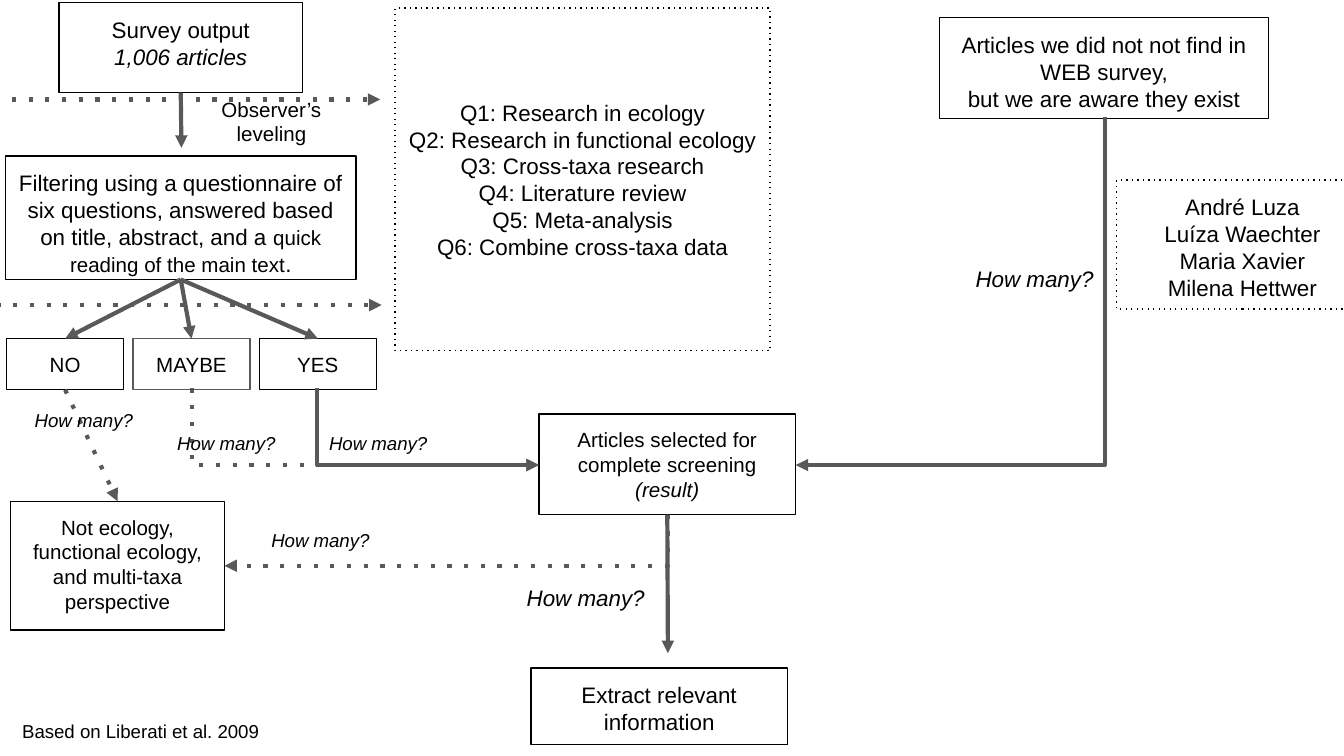
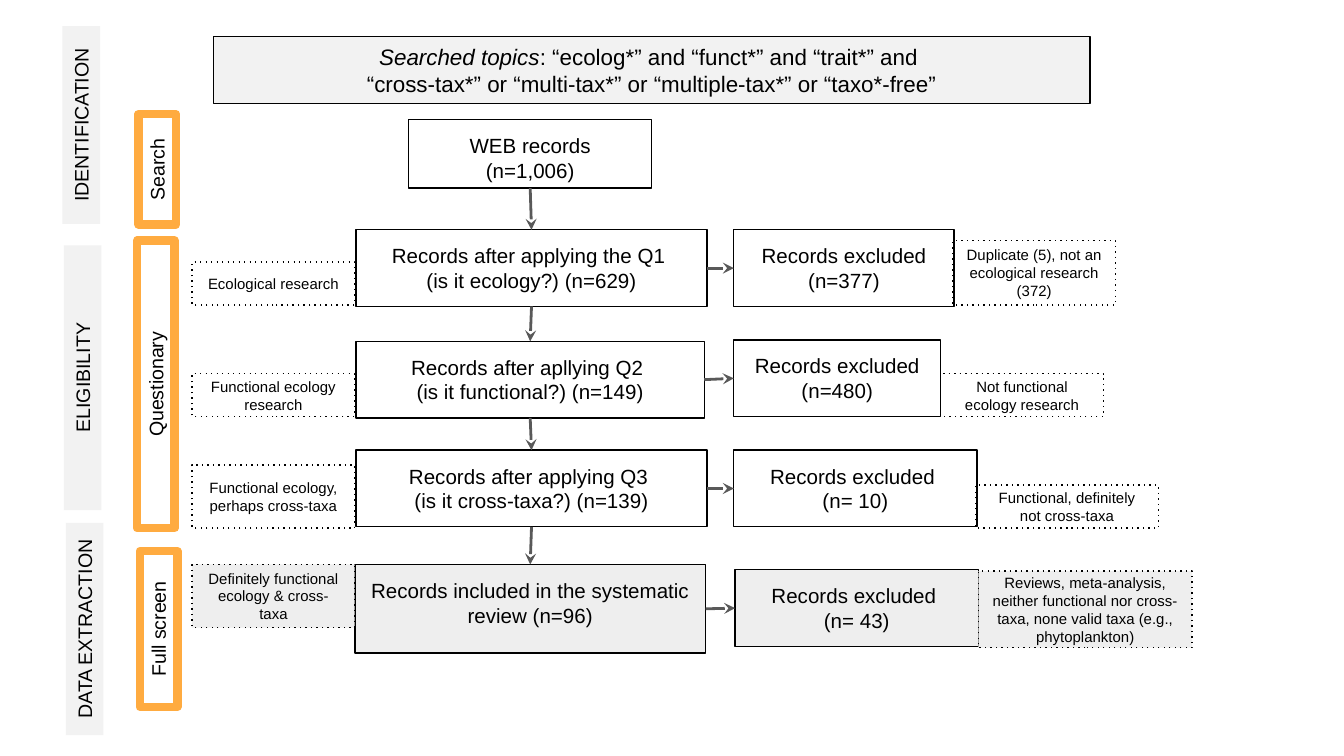
"""Build two flow charts: the article survey plan and the record screening."""
from dataclasses import dataclass, replace
from typing import NamedTuple, Optional, Union

import lxml.etree
import pptx
import pptx.dml.color
import pptx.enum.shapes
import pptx.enum.text
import pptx.oxml.ns
import pptx.util

Inches = pptx.util.Inches
Pt = pptx.util.Pt
qn = pptx.oxml.ns.qn
Anchor = pptx.enum.text.MSO_ANCHOR

FONT = "Arial"
COLORS = {
    "ink": "000000",
    "arrow": "595959",
    "white": "FFFFFF",
    "included": "EEEEEE",
    "band": "F2F2F2",
    "phase": "FFAB40",
}
TOP, LEFT, BOTTOM, RIGHT = range(4)


class Span(NamedTuple):
    text: str
    size: Optional[float] = None
    italic: Optional[bool] = None


Paragraph = Union[str, Span, list[Span]]


@dataclass(frozen=True)
class Style:
    size: float = 12
    line: Optional[str] = "ink"
    weight: float = 0.75
    dotted: bool = False
    fill: Optional[str] = None
    anchor: Anchor = Anchor.TOP
    inset: float = 0.1
    grow: bool = False
    rotation: float = 0


class Box(NamedTuple):
    name: str
    left: float
    top: float
    width: float
    height: float
    paragraphs: list[Paragraph]
    style: Style


class Label(NamedTuple):
    left: float
    top: float
    width: float
    paragraph: Paragraph
    size: float
    centered: bool = False


class Point(NamedTuple):
    x: float
    y: float


class Port(NamedTuple):
    box: str
    side: int


class Arrow(NamedTuple):
    begin: Union[Point, Port]
    end: Union[Point, Port]
    dotted: bool = False


STEP = Style()
SMALL_STEP = Style(size=11)
DOTTED = Style(dotted=True)
NOTE = Style(size=8, dotted=True, anchor=Anchor.MIDDLE)
GREY_STEP = replace(SMALL_STEP, fill="included")
GREY_NOTE = replace(NOTE, fill="included")
BANNER = Style(fill="band", inset=0.05, grow=True)
STAGE = Style(size=10.5, line=None, fill="band", inset=0.05, grow=True, rotation=270)
PHASE = replace(STAGE, line="phase", weight=4.5, fill=None)

ANSWERS = ["NO", "MAYBE", "YES"]
HOW_MANY = Span("How many?", italic=True)

PLAN_BOXES = [
    Box("survey", 0.44, 0.02, 1.81, 0.67,
        ["Survey output", Span("1,006 articles", italic=True)], STEP),
    Box("filter", 0.04, 1.16, 2.61, 0.92,
        [[Span("Filtering using a questionnaire of six questions, answered based "
               "on title, abstract, and a ", 12),
          Span("quick reading of the main text", 11), Span(".", 12)]], STEP),
    Box("missed", 6.99, 0.13, 2.45, 0.75,
        ["Articles we did not not find in WEB survey,",
         "but we are aware they exist"], STEP),
    Box("screening", 4.01, 3.08, 1.91, 0.75,
        ["Articles selected for complete screening",
         Span("(result)", italic=True)], SMALL_STEP),
    *[Box(answer, 0.05 + 0.94 * column, 2.52, 0.87, 0.38, [answer],
          replace(SMALL_STEP, line="arrow" if answer == "MAYBE" else "ink"))
      for column, answer in enumerate(ANSWERS)],
    Box("rejected", 0.08, 3.73, 1.59, 0.96,
        ["Not ecology, functional ecology, and multi-taxa perspective"], SMALL_STEP),
    Box("extract", 3.95, 4.97, 1.91, 0.57, ["Extract relevant information"], STEP),
    Box("questions", 2.94, 0.06, 2.79, 2.55,
        ["Q1: Research in ecology", "Q2: Research in functional ecology",
         "Q3: Cross-taxa research", "Q4: Literature review",
         "Q5: Meta-analysis", "Q6: Combine cross-taxa data"],
        replace(DOTTED, anchor=Anchor.MIDDLE)),
    Box("observers", 8.31, 1.34, 1.87, 0.96,
        ["André Luza", "Luíza Waechter", "Maria Xavier", "Milena Hettwer"], DOTTED),
]
PLAN_LABELS = [
    Label(1.34, 0.62, 1.36, "Observer’s leveling", 11, True),
    Label(-0.53, 5.27, 3.15, "Based on Liberati et al. 2009", 10, True),
    *[Label(left, top, 1.59, HOW_MANY, size) for left, top, size in [
        (0.16, 2.96, 10), (1.22, 3.13, 10), (2.35, 3.13, 10),
        (1.92, 3.85, 10), (7.16, 1.87, 12), (3.82, 4.25, 12)]],
]
PLAN_ARROWS = [
    Arrow(Port("survey", BOTTOM), Point(1.35, 1.1)),
    *[Arrow(Port("filter", BOTTOM), Port(answer, TOP)) for answer in ANSWERS],
    Arrow(Port("screening", BOTTOM), Point(4.97, 4.86)),
    Arrow(Port("NO", BOTTOM), Port("rejected", TOP), True),
    Arrow(Point(-0.4, 2.27), Point(2.84, 2.27), True),
    Arrow(Point(-0.41, 0.74), Point(2.83, 0.74), True),
]
PLAN_BENDS = [
    Arrow(Point(2.36, 2.89), Point(4.01, 3.46)),
    Arrow(Point(1.43, 2.89), Point(4.01, 3.46), True),
    Arrow(Point(4.97, 3.83), Point(1.67, 4.21), True),
    Arrow(Point(8.22, 0.87), Point(5.92, 3.46)),
]

SCREEN_BOXES = [
    Box("topics", 1.59, 0.27, 6.52, 0.5,
        [[Span("Searched topics", italic=True),
          Span(": “ecolog*” and “funct*” and “trait*” and ")],
         "“cross-tax*” or “multi-tax*” or “multiple-tax*” or “taxo*-free”"], BANNER),
    Box("records", 3.04, 0.89, 1.81, 0.51, ["WEB records", "(n=1,006)"], SMALL_STEP),
    Box("Q1", 2.65, 1.71, 2.61, 0.57,
        ["Records after applying the Q1 ", "(is it ecology?) (n=629)"], SMALL_STEP),
    Box("Q2", 2.65, 2.54, 2.59, 0.57,
        ["Records after apllying Q2 ", "(is it functional?) (n=149)"], SMALL_STEP),
    Box("Q3", 2.65, 3.35, 2.61, 0.57,
        ["Records after applying Q3 ", "(is it cross-taxa?) (n=139)"], SMALL_STEP),
    Box("included", 2.64, 4.2, 2.61, 0.66,
        ["Records included in the systematic review (n=96)"], GREY_STEP),
    Box("Q1 excluded", 5.46, 1.71, 1.64, 0.57, ["Records excluded (n=377)"],
        replace(SMALL_STEP, fill="white")),
    Box("Q2 excluded", 5.46, 2.53, 1.54, 0.57, ["Records excluded (n=480)"], SMALL_STEP),
    Box("Q3 excluded", 5.46, 3.35, 1.81, 0.57,
        ["Records excluded ", "(n= 10)"], SMALL_STEP),
    Box("included excluded", 5.47, 4.24, 1.81, 0.57,
        ["Records excluded ", "(n= 43)"], GREY_STEP),
    Box("Q1 kept", 1.43, 1.95, 1.21, 0.32, ["Ecological research"], NOTE),
    Box("Q2 kept", 1.43, 2.78, 1.21, 0.32, ["Functional ecology research"], NOTE),
    Box("Q3 kept", 1.43, 3.46, 1.21, 0.47,
        ["Functional ecology, perhaps cross-taxa"], NOTE),
    Box("included kept", 1.43, 4.2, 1.21, 0.47,
        ["Definitely functional ecology & cross-taxa"], GREY_NOTE),
    Box("Q1 reason", 7.09, 1.79, 1.21, 0.48,
        ["Duplicate (5), not an ecological research (372)"], NOTE),
    Box("Q2 reason", 7, 2.78, 1.21, 0.32, ["Not functional ecology research"], NOTE),
    Box("Q3 reason", 7.26, 3.61, 1.36, 0.32,
        ["Functional, definitely not cross-taxa"], NOTE),
    Box("included reason", 7.28, 4.25, 1.59, 0.57,
        ["Reviews, meta-analysis, neither functional nor cross-taxa, "
         "none valid taxa (e.g., phytoplankton)"], GREY_NOTE),
    *[Box(text, left, top, length, 0.28, [text], style)
      for text, left, top, length, style in [
          ("Questionary", 0.09, 2.72, 2.14, PHASE),
          ("Full screen", 0.6, 4.54, 1.16, PHASE),
          ("Search", 0.76, 1.12, 0.82, PHASE),
          ("ELIGIBILITY", -0.37, 2.67, 1.97, STAGE),
          ("DATA EXTRACTION", -0.16, 4.54, 1.58, STAGE),
          ("IDENTIFICATION", -0.13, 0.79, 1.47, STAGE)]],
]
FLOW = ["records", "Q1", "Q2", "Q3", "included"]
SCREEN_ARROWS = [
    *[Arrow(Port(above, BOTTOM), Port(below, TOP)) for above, below in zip(FLOW, FLOW[1:])],
    *[Arrow(Port(step, RIGHT), Port(f"{step} excluded", LEFT)) for step in FLOW[1:]],
]


def rgb(name: str) -> pptx.dml.color.RGBColor:
    return pptx.dml.color.RGBColor.from_string(COLORS[name])


def write_text(frame, paragraphs: list[Paragraph], size: float, centered: bool = True) -> None:
    frame.word_wrap = True
    for index, content in enumerate(paragraphs):
        para = frame.paragraphs[0] if index == 0 else frame.add_paragraph()
        para.alignment = getattr(pptx.enum.text.PP_ALIGN, "CENTER" if centered else "LEFT")
        para.font.name = FONT
        para.font.size = Pt(size)
        para.font.color.rgb = rgb("ink")
        if isinstance(content, str):
            content = Span(content)
        spans = [content] if isinstance(content, Span) else content
        if len(spans) == 1:
            para.font.italic = spans[0].italic
        for span in spans:
            run = para.add_run()
            run.text = span.text
            if len(spans) > 1:
                run.font.size = Pt(span.size) if span.size else None
                run.font.italic = span.italic


def style_line(shape, color: str, weight: float, dotted: bool, head: str = "") -> None:
    shape.line.color.rgb = rgb(color)
    shape.line.width = Pt(weight)
    outline = shape._element.spPr.find(qn("a:ln"))
    if dotted:
        lxml.etree.SubElement(outline, qn("a:prstDash"), val="dot")
    if head:
        lxml.etree.SubElement(outline, qn("a:tailEnd"), type=head)


def draw_box(page, box: Box):
    style = box.style
    shape = page.shapes.add_shape(
        pptx.enum.shapes.MSO_SHAPE.RECTANGLE,
        Inches(box.left), Inches(box.top), Inches(box.width), Inches(box.height))
    shape.rotation = style.rotation
    shape.shadow.inherit = False
    if style.fill:
        shape.fill.solid()
        shape.fill.fore_color.rgb = rgb(style.fill)
    else:
        shape.fill.background()
    if style.line:
        style_line(shape, style.line, style.weight, style.dotted)
    else:
        shape.line.fill.background()
    frame = shape.text_frame
    frame.vertical_anchor = style.anchor
    frame.margin_top = frame.margin_bottom = Inches(style.inset)
    if style.grow:
        frame.auto_size = pptx.enum.text.MSO_AUTO_SIZE.SHAPE_TO_FIT_TEXT
    write_text(frame, box.paragraphs, style.size)
    return shape


def draw_label(page, label: Label) -> None:
    box = page.shapes.add_textbox(
        Inches(label.left), Inches(label.top), Inches(label.width), Inches(0.44))
    box.text_frame.margin_top = box.text_frame.margin_bottom = Inches(0.1)
    write_text(box.text_frame, [label.paragraph], label.size, label.centered)


def add_line(page, kind: str, begin: Point, end: Point):
    return page.shapes.add_connector(
        getattr(pptx.enum.shapes.MSO_CONNECTOR, kind),
        Inches(begin.x), Inches(begin.y), Inches(end.x), Inches(end.y))


def finish_arrow(connector, dotted: bool, weight: float, head: str) -> None:
    style_line(connector, "arrow", weight, dotted, head)
    lxml.etree.SubElement(connector._element.spPr, qn("a:effectLst"))


def draw_arrow(page, arrow: Arrow, shapes: dict, weight: float, head: str) -> None:
    begin, end = (place if isinstance(place, Point) else Point(0, 0)
                  for place in (arrow.begin, arrow.end))
    connector = add_line(page, "STRAIGHT", begin, end)
    if isinstance(arrow.begin, Port):
        connector.begin_connect(shapes[arrow.begin.box], arrow.begin.side)
    if isinstance(arrow.end, Port):
        connector.end_connect(shapes[arrow.end.box], arrow.end.side)
    finish_arrow(connector, arrow.dotted, weight, head)


def draw_bend(page, bend: Arrow, weight: float, head: str) -> None:
    begin, end = bend.begin, bend.end
    across, down = abs(end.x - begin.x), end.y - begin.y
    left, top = (begin.x + end.x - down) / 2, (begin.y + end.y - across) / 2
    connector = add_line(page, "ELBOW", Point(left, top), Point(left + down, top + across))
    properties = connector._element.spPr
    properties.find(qn("a:prstGeom")).set("prst", "bentConnector2")
    frame = properties.find(qn("a:xfrm"))
    if end.x > begin.x:
        frame.set("flipH", "1")
    frame.set("rot", str((270 if end.x > begin.x else 90) * 60000))
    finish_arrow(connector, bend.dotted, weight, head)


def draw_page(deck, boxes: list[Box], labels: list[Label], arrows: list[Arrow],
              bends: list[Arrow], weight: float, head: str) -> None:
    page = deck.slides.add_slide(deck.slide_layouts[6])
    shapes = {box.name: draw_box(page, box) for box in boxes}
    for arrow in arrows:
        draw_arrow(page, arrow, shapes, weight, head)
    for bend in bends:
        draw_bend(page, bend, weight, head)
    for label in labels:
        draw_label(page, label)


def main() -> None:
    deck = pptx.Presentation()
    deck.slide_width = Inches(10)
    deck.slide_height = deck.slide_width * 9 // 16
    draw_page(deck, PLAN_BOXES, PLAN_LABELS, PLAN_ARROWS, PLAN_BENDS, 2.25, "triangle")
    draw_page(deck, SCREEN_BOXES, [], SCREEN_ARROWS, [], 1.5, "stealth")
    deck.save("out.pptx")


if __name__ == "__main__":
    main()
